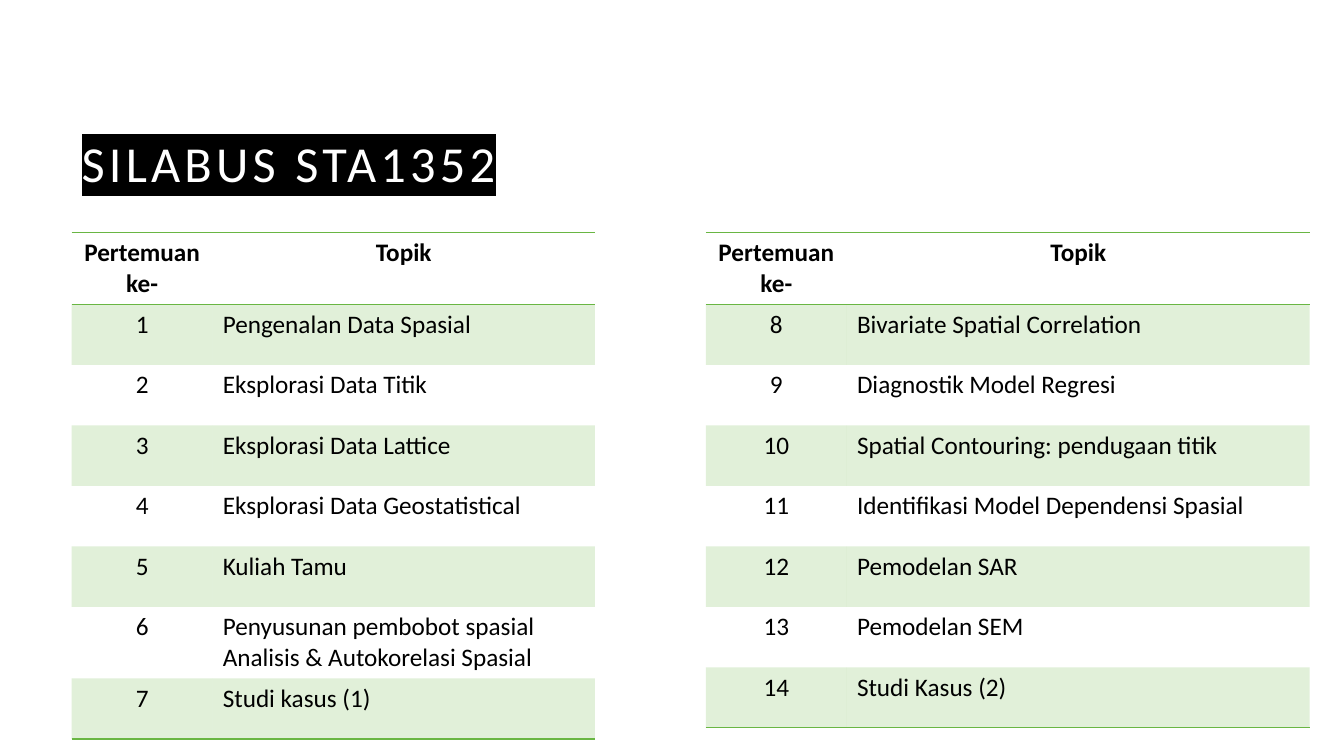
from lxml import etree
from pptx import Presentation
from pptx.dml.color import RGBColor
from pptx.enum.text import MSO_ANCHOR, PP_ALIGN
from pptx.oxml.ns import qn
from pptx.util import Inches, Pt

LEFT, CENTER = PP_ALIGN.LEFT, PP_ALIGN.CENTER
BOTTOM = MSO_ANCHOR.BOTTOM
GREEN, BLACK, WHITE = "69B643", "000000", "FFFFFF"
PLAIN = "{2D5ABB26-0587-4C30-8999-92F81FD0307C}"  # no style, no grid
EDGE, TOP, ROW, NUM = 0.71, 2.31, 0.6, 1.4

HEAD = ("Pertemuan ke-", "Topik")
# left edge, width of the topic column, first meeting, topics
HALVES = [
    (EDGE, 3.79, 1, [
        "Pengenalan Data Spasial", "Eksplorasi Data Titik",
        "Eksplorasi Data Lattice", "Eksplorasi Data Geostatistical",
        "Kuliah Tamu",
        "Penyusunan pembobot spasial\nAnalisis & Autokorelasi Spasial",
        "Studi kasus (1)"]),
    (7, 4.59, 8, [
        "Bivariate Spatial Correlation", "Diagnostik Model Regresi",
        "Spatial Contouring: pendugaan titik",
        "Identifikasi Model Dependensi Spasial",
        "Pemodelan SAR", "Pemodelan SEM", "Studi Kasus (2)"]),
]


def add_run(para, text, size, color, bold=False):
    run = para.add_run()
    run.text = text
    font = run.font
    font.name, font.size, font.bold = "Calibri", Pt(size), bold
    font.color.rgb = RGBColor.from_string(color)
    return run


def add_color(parent, tag, color):
    """Append a colour-holding element and return its colour."""
    node = etree.SubElement(parent, qn(tag))
    return etree.SubElement(node, qn("a:srgbClr"), val=color)


prs = Presentation()
prs.slide_width, prs.slide_height = Inches(13.33), Inches(7.5)
slide = prs.slides.add_slide(prs.slide_layouts[5])

title = slide.shapes.title
title.left, title.top = Inches(EDGE), Inches(EDGE)
title.width, title.height = Inches(11.62), Inches(1.25)
frame = title.text_frame
frame.vertical_anchor = BOTTOM
para = frame.paragraphs[0]
para.alignment, para.line_spacing = LEFT, 1.2
run = add_run(para, "SILABUS STA1352", 36, WHITE)
props = run.font._element
props.set("spc", "300")
mark = add_color(props, "a:highlight", BLACK).getparent()
props.find(qn("a:solidFill")).addnext(mark)

for left, wide, first, topics in HALVES:
    rows = [HEAD] + [(str(n), t) for n, t in enumerate(topics, first)]
    last = len(rows) - 1
    shape = slide.shapes.add_table(
        len(rows), 2, Inches(left), Inches(TOP),
        Inches(NUM + wide), Inches(ROW * len(rows)))
    table = shape.table
    table._tbl.tblPr.find(qn("a:tableStyleId")).text = PLAIN
    table.columns[0].width, table.columns[1].width = Inches(NUM), Inches(wide)
    for r, row in enumerate(rows):
        table.rows[r].height = Inches(ROW)
        sides = {0: ("a:lnT", "a:lnB"), last: ("a:lnB",)}.get(r, ())
        for c, text in enumerate(row):
            cell = table.cell(r, c)
            for i, part in enumerate(text.split("\n")):
                frame = cell.text_frame
                para = frame.add_paragraph() if i else frame.paragraphs[0]
                para.alignment = CENTER if r == 0 or c == 0 else LEFT
                add_run(para, part, 18, BLACK, r == 0)
            box = cell._tc.get_or_add_tcPr()
            for side in sides:
                line = etree.SubElement(box, qn(side), w=str(Pt(1)))
                add_color(line, "a:solidFill", GREEN)
            if r % 2:
                tint = add_color(box, "a:solidFill", GREEN)
                etree.SubElement(tint, qn("a:alpha"), val="20000")
            else:
                cell.fill.background()

prs.save("out.pptx")
